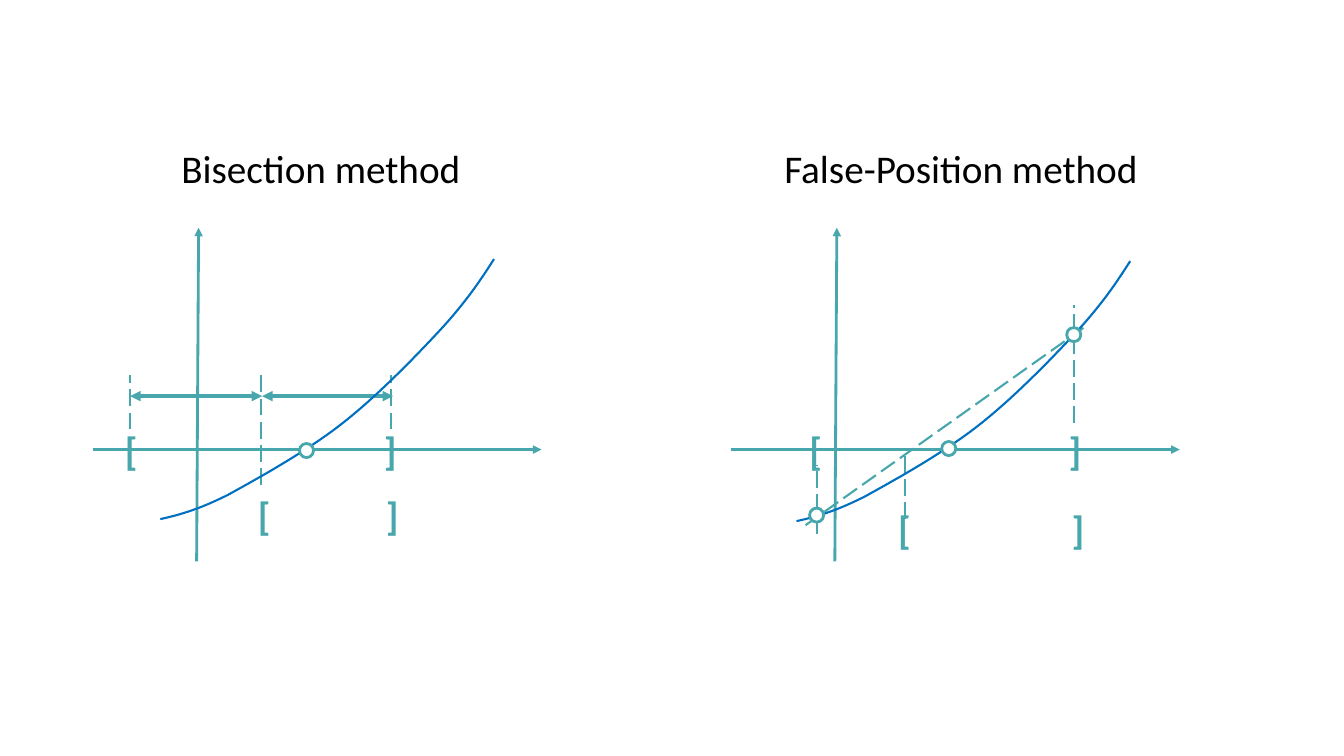
from lxml import etree
from pptx import Presentation
from pptx.dml.color import RGBColor
from pptx.enum.dml import MSO_LINE
from pptx.enum.shapes import MSO_CONNECTOR, MSO_SHAPE
from pptx.enum.text import MSO_AUTO_SIZE
from pptx.oxml.ns import qn
from pptx.util import Inches, Pt

STRAIGHT = MSO_CONNECTOR.STRAIGHT
OVAL = MSO_SHAPE.OVAL
DASH = MSO_LINE.LONG_DASH
GROW = MSO_AUTO_SIZE.SHAPE_TO_FIT_TEXT

COLORS = {"teal": "48A6AD", "blue": "0070C0", "black": "000000", "white": "FFFFFF"}
FONT = "Calibri"
DOT = 0.14
CURVE = [
    (0, 0), (0.18, -0.04), (0.37, -0.09), (0.67, -0.24),
    (0.96, -0.4), (1.43, -0.66), (1.78, -0.93),
    (2.13, -1.2), (2.51, -1.59), (2.77, -1.87),
    (3.02, -2.14), (3.17, -2.36), (3.31, -2.58),
]


def color(name):
    """Return the palette colour with this name."""
    return RGBColor.from_string(COLORS[name])


def add_text(slide, text, left, top, width, tone="teal", bold=False):
    """Add one line of text that does not wrap."""
    box = slide.shapes.add_textbox(Inches(left), Inches(top), Inches(width), Inches(0.57))
    frame = box.text_frame
    frame.word_wrap = False
    frame.auto_size = GROW
    run = frame.paragraphs[0].add_run()
    run.text = text
    run.font.name = FONT
    run.font.size = Pt(28)
    run.font.bold = bold
    run.font.color.rgb = color(tone)


def add_line(slide, start, end, width=1.5, dash=None, tips=()):
    """Add a straight line with optional dashes and arrow tips."""
    ends = [Inches(value) for value in (*start, *end)]
    link = slide.shapes.add_connector(STRAIGHT, *ends)
    link.line.color.rgb = color("teal")
    link.line.width = Pt(width)
    if dash:
        link.line.dash_style = dash
    props = link._element.spPr
    for tip in tips:
        etree.SubElement(props.find(qn("a:ln")), qn(tip), type="triangle")
    etree.SubElement(props, qn("a:effectLst"))


def add_dot(slide, left, top):
    """Add a white ring that marks a point."""
    dot = slide.shapes.add_shape(OVAL, Inches(left), Inches(top), Inches(DOT), Inches(DOT))
    dot.shadow.inherit = False
    dot.fill.solid()
    dot.fill.fore_color.rgb = color("white")
    dot.line.color.rgb = color("teal")
    dot.line.width = Pt(2)


def trace(left, top, steps=16):
    """Return points along the Bézier pieces of the curve."""
    points = [(left, top)]
    for first in range(0, len(CURVE) - 1, 3):
        knots = CURVE[first:first + 4]
        for step in range(1, steps + 1):
            t = step / steps
            parts = ((1 - t) ** 3, 3 * t * (1 - t) ** 2, 3 * t * t * (1 - t), t ** 3)
            points.append((
                left + sum(part * x for part, (x, y) in zip(parts, knots)),
                top + sum(part * y for part, (x, y) in zip(parts, knots)),
            ))
    return points


def add_curve(slide, left, top):
    """Add the function curve from its lower left end."""
    points = [(Inches(x), Inches(y)) for x, y in trace(left, top)]
    path = slide.shapes.build_freeform(*points[0])
    path.add_line_segments(points[1:], close=False)
    curve = path.convert_to_shape()
    curve.shadow.inherit = False
    curve.fill.background()
    curve.line.color.rgb = color("blue")
    curve.line.width = Pt(1.5)


def add_plot(slide, left, top, title, marks, spans, dashes, start, dots):
    """Draw one method's plot with its box's corner at left, top."""
    def place(point):
        """Shift a point into the box."""
        return left + point[0], top + point[1]

    name, indent, width = title
    add_text(slide, name, *place((indent, -0.88)), width, tone="black")
    for low, high, drop in marks:
        add_text(slide, "[", *place((low, drop)), 0.33, bold=True)
        add_text(slide, "]", *place((high, drop)), 0.33, bold=True)
    for begin, end in spans:
        add_line(slide, place(begin), place(end), 2.5, tips=("a:headEnd", "a:tailEnd"))
    for begin, end in dashes:
        add_line(slide, place(begin), place(end), dash=DASH)
    for begin, end in (((0, 2.2), (4.45, 2.2)), ((1.03, 3.31), (1.05, 0))):
        add_line(slide, place(begin), place(end), 2, tips=("a:tailEnd",))
    add_curve(slide, *place(start))
    for dot in dots:
        add_dot(slide, *place(dot))


def add_halving(slide, left, top):
    """Draw the bisection plot."""
    add_plot(
        slide, left, top,
        title=("Bisection method", 0.78, 3),
        marks=[(0.22, 2.79, 1.92), (1.54, 2.81, 2.57)],
        spans=[((1.68, 1.67), (2.98, 1.67)), ((0.37, 1.67), (1.68, 1.67))],
        dashes=[((x, y), (x, 1.46)) for x, y in ((0.37, 2), (2.96, 2), (1.67, 2.55))],
        start=(0.67, 2.89),
        dots=[(2.05, 2.14)],
    )


def add_secant(slide, left, top):
    """Draw the false-position plot."""
    add_plot(
        slide, left, top,
        title=("False-Position method", 0.43, 3.75),
        marks=[(0.68, 3.25, 1.92), (1.56, 3.28, 2.7)],
        spans=[],
        dashes=[
            ((1.73, 2.89), (1.73, 2.2)),
            ((0.85, 3.04), (0.85, 2.35)),
            ((3.4, 1.94), (3.4, 0.77)),
            ((0.74, 2.95), (3.5, 0.99)),
        ],
        start=(0.65, 2.91),
        dots=[(2.09, 2.12), (3.33, 0.99), (0.78, 2.78)],
    )


def main():
    """Build and save the slide."""
    deck = Presentation()
    deck.slide_width = Inches(13.33)
    deck.slide_height = Inches(7.5)
    slide = deck.slides.add_slide(deck.slide_layouts[6])
    add_halving(slide, 0.92, 2.26)
    add_secant(slide, 7.25, 2.26)
    deck.save("out.pptx")


if __name__ == "__main__":
    main()
